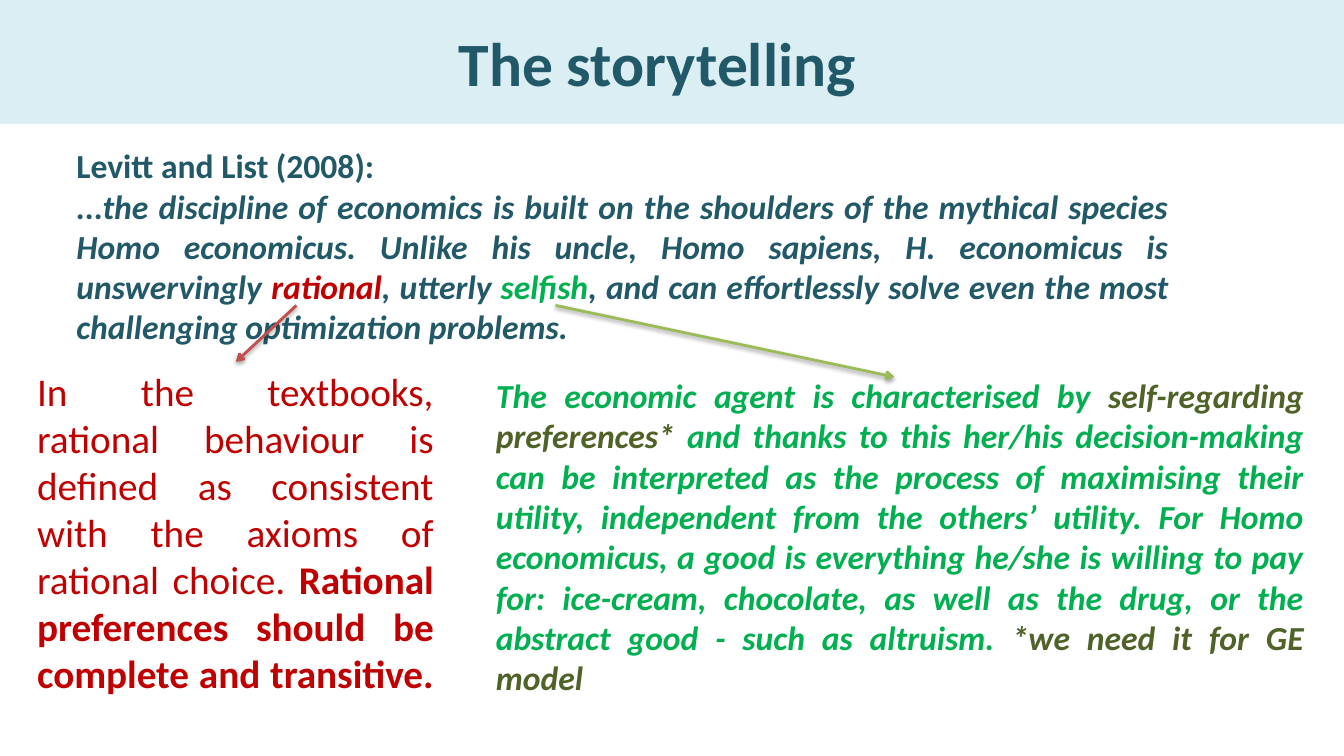
import pptx
import pptx.dml.color
import pptx.enum.shapes
import pptx.enum.text
import pptx.oxml
import pptx.oxml.ns
import pptx.util
from pptx.util import Inches

FONT = "Calibri"
TEAL, RED, GREEN, OLIVE = "215968", "C00000", "00B050", "4F6228"
BAND_FILL, RED_ARROW, GREEN_ARROW = "DBEEF4", "C0504D", "9BBB59"

SHADOW = (
    f'<a:effectLst {pptx.oxml.ns.nsdecls("a")}>'
    '<a:outerShdw blurRad="40000" dist="20000" dir="5400000" rotWithShape="0">'
    '<a:srgbClr val="000000"><a:alpha val="38000"/></a:srgbClr>'
    "</a:outerShdw></a:effectLst>"
)
ARROWHEAD = f'<a:tailEnd {pptx.oxml.ns.nsdecls("a")} type="arrow"/>'

QUOTE = [
    [("Levitt and List (2008):", TEAL, True, False)],
    [
        ("...the discipline of economics is built on the shoulders of the mythical "
         "species Homo economicus. Unlike his uncle, Homo sapiens, H. economicus is "
         "unswervingly ", TEAL, True, True),
        ("rational", RED, True, True),
        (", utterly", TEAL, True, True),
        (" selfish", GREEN, True, True),
        (", and can effortlessly solve even the most challenging optimization "
         "problems.", TEAL, True, True),
    ],
]
RATIONAL = [[
    ("In the textbooks, rational behaviour is defined as consistent with the axioms "
     "of rational choice. ", RED, False, False),
    ("Rational preferences should be complete and transitive. ", RED, True, False),
]]
SELFISH = [[
    ("The economic agent is characterised by ", GREEN, True, True),
    ("self-regarding preferences*", OLIVE, True, True),
    (" and thanks to this her/his decision-making can be interpreted as the process "
     "of maximising their utility, independent from the others’ utility. For Homo "
     "economicus, a good is everything he/she is willing to pay for: ice-cream, "
     "chocolate, as well as the drug, or the abstract good - such as altruism. ",
     GREEN, True, True),
    ("*we need it for GE model ", OLIVE, True, True),
]]


def rgb(value):
    """Turn a hex string into a colour."""
    return pptx.dml.color.RGBColor.from_string(value)


def style_run(run, size, color, bold, italic):
    """Set the font of one run."""
    run.font.name = FONT
    run.font.size = pptx.util.Pt(size)
    run.font.bold = bold
    run.font.italic = italic
    run.font.color.rgb = rgb(color)


def add_heading(slide, left, top, width, height):
    """Lay the title out as a tinted band."""
    heading = slide.shapes.title
    heading.left, heading.top = Inches(left), Inches(top)
    heading.width, heading.height = Inches(width), Inches(height)
    heading.fill.solid()
    heading.fill.fore_color.rgb = rgb(BAND_FILL)
    frame = heading.text_frame
    frame.text = "The storytelling"
    frame.vertical_anchor = pptx.enum.text.MSO_ANCHOR.MIDDLE
    frame.margin_right = Inches(0.39)
    frame.paragraphs[0].alignment = pptx.enum.text.PP_ALIGN.CENTER
    style_run(frame.paragraphs[0].runs[0], 44, TEAL, True, False)


def add_passage(slide, left, top, width, height, size, passage):
    """Write justified paragraphs of coloured runs in a box."""
    box = slide.shapes.add_textbox(
        Inches(left), Inches(top), Inches(width), Inches(height))
    frame = box.text_frame
    frame.word_wrap = True
    frame.auto_size = pptx.enum.text.MSO_AUTO_SIZE.SHAPE_TO_FIT_TEXT
    for index, pieces in enumerate(passage):
        paragraph = frame.add_paragraph() if index else frame.paragraphs[0]
        paragraph.alignment = pptx.enum.text.PP_ALIGN.JUSTIFY
        for wording, color, bold, italic in pieces:
            run = paragraph.add_run()
            run.text = wording
            style_run(run, size, color, bold, italic)


def add_arrow(slide, start, end, color):
    """Draw a shadowed arrow from a word to its explanation."""
    arrow = slide.shapes.add_connector(
        pptx.enum.shapes.MSO_CONNECTOR.STRAIGHT,
        *map(Inches, start), *map(Inches, end))
    arrow.line.color.rgb = rgb(color)
    arrow.line.width = pptx.util.Pt(2)
    arrow.line._get_or_add_ln().append(pptx.oxml.parse_xml(ARROWHEAD))
    arrow._element.spPr.append(pptx.oxml.parse_xml(SHADOW))


def main():
    """Build and save the slide."""
    deck = pptx.Presentation()
    deck.slide_width, deck.slide_height = Inches(13.33), Inches(7.5)
    slide = deck.slides.add_slide(deck.slide_layouts.get_by_name("Title Only"))
    add_heading(slide, 0, 0, 13.33, 1.23)
    add_passage(slide, 0.66, 1.39, 11.03, 2.12, 24, QUOTE)
    add_arrow(slide, (2.94, 3.03), (2.34, 3.59), RED_ARROW)
    add_passage(slide, 0.27, 3.59, 4.13, 3.4, 28, RATIONAL)
    add_passage(slide, 4.82, 3.67, 8.21, 3.33, 24, SELFISH)
    add_arrow(slide, (5.51, 3.03), (8.87, 3.74), GREEN_ARROW)
    deck.save("out.pptx")


if __name__ == "__main__":
    main()
